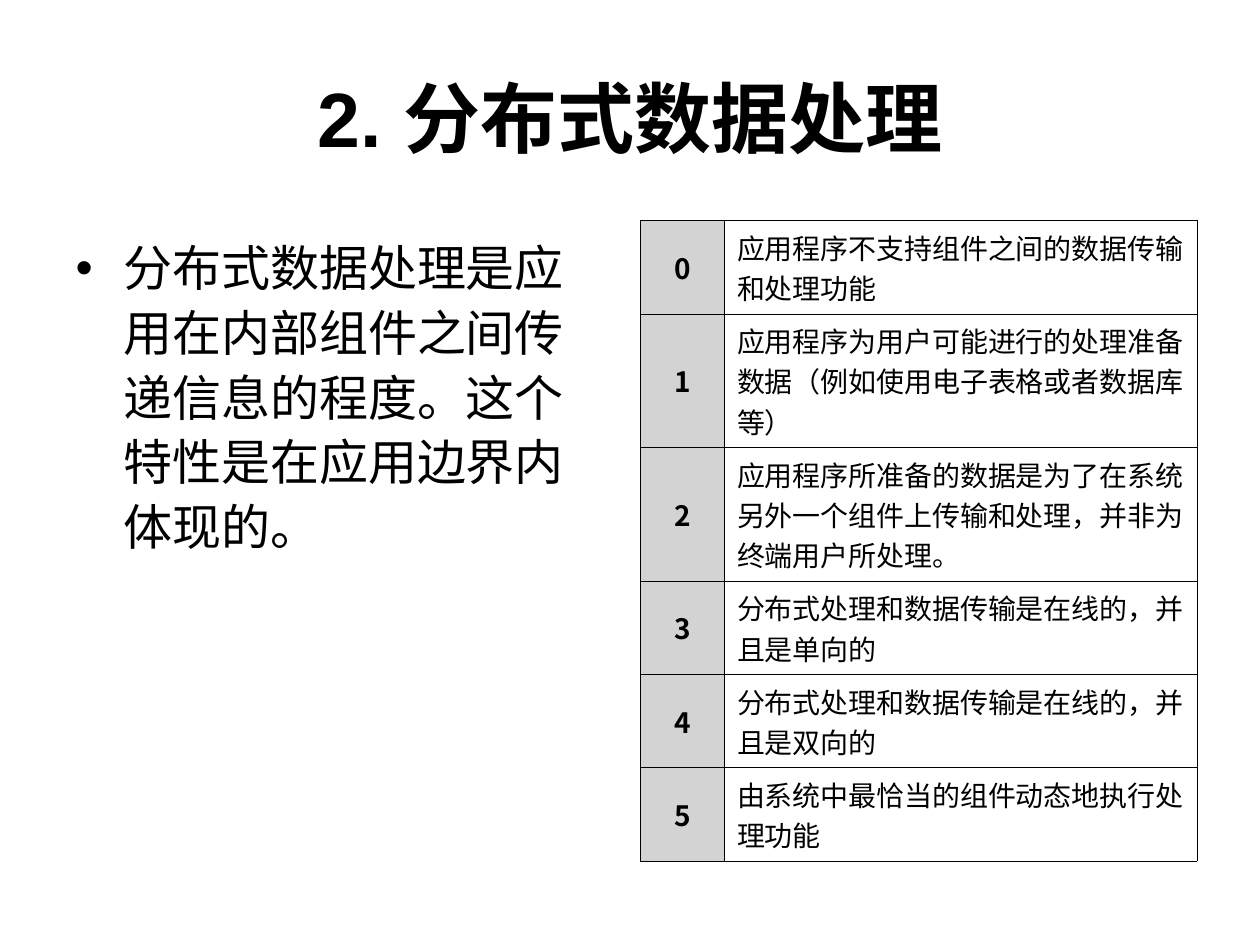
from dataclasses import dataclass

from lxml.etree import SubElement
from pptx import Presentation
from pptx.dml.color import RGBColor
from pptx.enum.text import MSO_ANCHOR, MSO_AUTO_SIZE, PP_ALIGN
from pptx.oxml.ns import qn
from pptx.util import Inches, Pt


@dataclass(frozen=True)
class Theme:
    ink: RGBColor = RGBColor(0x00, 0x00, 0x00)
    level_fill: RGBColor = RGBColor(0xD3, 0xD3, 0xD3)
    title_size: Pt = Pt(44)
    body_size: Pt = Pt(28)
    body_line: Pt = Pt(37)
    table_size: Pt = Pt(16)
    border_width: Pt = Pt(0.34)
    main_font: str = "Arial"
    level_font: str = "Noto Sans CJK SC"
    description_font: str = "Times New Roman"
    chinese_font: str = "Noto Sans CJK SC"


THEME = Theme()

TITLE = "2. 分布式数据处理"
DEFINITION = "分布式数据处理是应用在内部组件之间传递信息的程度。这个特性是在应用边界内体现的。"
LEVELS = [
    ("应用程序不支持组件之间的数据传输和处理功能", 0.73),
    ("应用程序为用户可能进行的处理准备数据（例如使用电子表格或者数据库等）", 1.02),
    ("应用程序所准备的数据是为了在系统另外一个组件上传输和处理，并非为终端用户所处理。", 1.02),
    ("分布式处理和数据传输是在线的，并且是单向的", 0.73),
    ("分布式处理和数据传输是在线的，并且是双向的", 0.73),
    ("由系统中最恰当的组件动态地执行处理功能", 0.73),
]


def add_run(paragraph, text, size, font_name, bold=False):
    run = paragraph.add_run()
    run.text = text
    run.font.size = size
    run.font.name = font_name
    run.font.bold = bold
    run.font.color.rgb = THEME.ink
    latin = run.font._element.find(qn("a:latin"))
    east_asian = latin.makeelement(qn("a:ea"), {"typeface": THEME.chinese_font})
    latin.addnext(east_asian)


def place(shape, box):
    shape.left, shape.top, shape.width, shape.height = box
    shape.text_frame.word_wrap = True
    shape.text_frame.auto_size = MSO_AUTO_SIZE.NONE


def fill_title(shape, box):
    place(shape, box)
    shape.text_frame.vertical_anchor = MSO_ANCHOR.MIDDLE
    paragraph = shape.text_frame.paragraphs[0]
    paragraph.alignment = PP_ALIGN.CENTER
    add_run(paragraph, TITLE, THEME.title_size, THEME.main_font, bold=True)


def fill_definition(shape, box):
    place(shape, box)
    shape.text_frame.vertical_anchor = MSO_ANCHOR.TOP
    shape.text_frame.margin_top = Inches(0.09)
    paragraph = shape.text_frame.paragraphs[0]
    paragraph.alignment = PP_ALIGN.LEFT
    paragraph.line_spacing = THEME.body_line
    paragraph.space_before = Pt(0)
    properties = paragraph._p.get_or_add_pPr()
    properties.set("marL", str(Inches(0.38)))
    properties.set("indent", str(-Inches(0.38)))
    SubElement(properties, qn("a:buFont"), typeface=THEME.main_font)
    SubElement(properties, qn("a:buChar"), char="•")
    add_run(paragraph, DEFINITION, THEME.body_size, THEME.main_font)


def add_borders(cell):
    properties = cell._tc.get_or_add_tcPr()
    for side in ("a:lnL", "a:lnR", "a:lnT", "a:lnB"):
        line = SubElement(properties, qn(side), w=str(THEME.border_width))
        fill = SubElement(line, qn("a:solidFill"))
        SubElement(fill, qn("a:srgbClr"), val=str(THEME.ink))


def fill_cell(cell, text, font_name, alignment, bold=False, fill_color=None):
    cell.vertical_anchor = MSO_ANCHOR.MIDDLE
    cell.margin_left = cell.margin_right = Inches(0.1)
    cell.margin_top = cell.margin_bottom = Inches(0.05)
    add_borders(cell)
    if fill_color is None:
        cell.fill.background()
    else:
        cell.fill.solid()
        cell.fill.fore_color.rgb = fill_color
    paragraph = cell.text_frame.paragraphs[0]
    paragraph.alignment = alignment
    add_run(paragraph, text, THEME.table_size, font_name, bold)


def add_level_table(slide, box):
    table = slide.shapes.add_table(len(LEVELS), 2, *box).table
    table.first_row = False
    table.horz_banding = False
    level_width = Inches(0.67)
    table.columns[0].width = level_width
    table.columns[1].width = box[2] - level_width
    for level, (description, height) in enumerate(LEVELS):
        table.rows[level].height = Inches(height)
        fill_cell(table.cell(level, 0), str(level), THEME.level_font,
                  PP_ALIGN.CENTER, bold=True, fill_color=THEME.level_fill)
        fill_cell(table.cell(level, 1), description, THEME.description_font,
                  PP_ALIGN.LEFT)


def main():
    presentation = Presentation()
    presentation.slide_width = Inches(10)
    presentation.slide_height = Inches(7.5)
    slide = presentation.slides.add_slide(presentation.slide_layouts[1])

    margin = Inches(0.5)
    content_top, content_height = Inches(1.75), Inches(4.95)
    column_width = Inches(4.42)
    right_column = presentation.slide_width - margin - column_width

    fill_title(slide.shapes.title, (margin, Inches(0.3), Inches(9), Inches(1.25)))
    fill_definition(slide.placeholders[1],
                    (margin, content_top, column_width, content_height))
    add_level_table(slide, (right_column, content_top, column_width, content_height))
    presentation.save("out.pptx")


if __name__ == "__main__":
    main()
